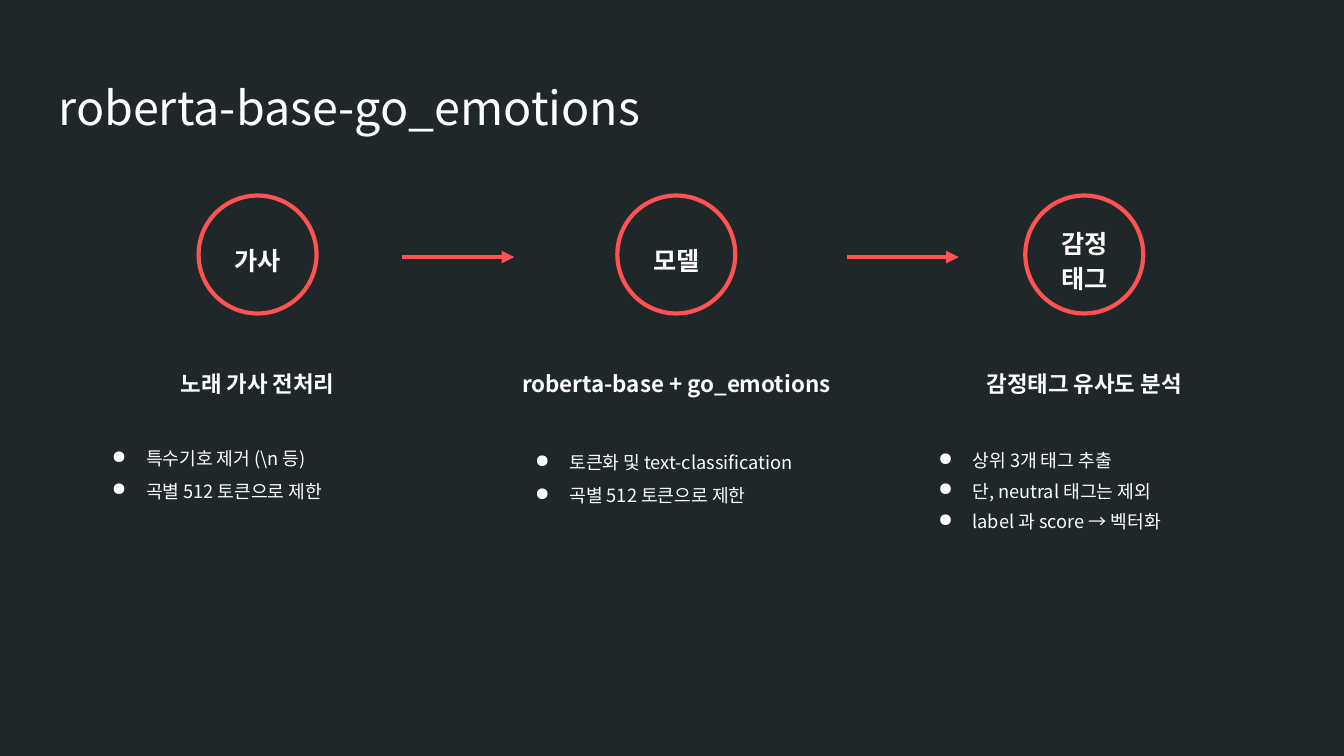
from lxml import etree
from pptx import Presentation
from pptx.dml.color import RGBColor
from pptx.enum.shapes import MSO_CONNECTOR, MSO_SHAPE
from pptx.enum.text import MSO_ANCHOR, MSO_AUTO_SIZE, PP_ALIGN
from pptx.oxml.ns import qn
from pptx.util import Pt

STRAIGHT = MSO_CONNECTOR.STRAIGHT
OVAL = MSO_SHAPE.OVAL
TOP, BOTTOM = MSO_ANCHOR.TOP, MSO_ANCHOR.BOTTOM
GROW, FIXED = MSO_AUTO_SIZE.SHAPE_TO_FIT_TEXT, MSO_AUTO_SIZE.NONE
LEFT, CENTER = PP_ALIGN.LEFT, PP_ALIGN.CENTER

FONT = "Noto Sans CJK KR"
DARK, WHITE, CORAL = "202729", "FFFFFF", "FF5252"
INSET = 9.36
CIRCLE, CIRCLE_TOP = 84.24, 139.7
COLUMN_WIDTH = 242.6
LABEL_WIDTH = 62
ARROW_Y, ARROW_LENGTH = 183.6, 80

# Each stage: circle centre, label, label top and height, heading,
# bullets' left edge, and bullets with their line spacing
STAGES = [
    (184, "가사", 162.7, 41, "노래 가사 전처리", 59,
     [("특수기호 제거 (\\n 등)", 1.3), ("곡별 512 토큰으로 제한", 1.5)]),
    (483.1, "모델", 162.7, 41, "roberta-base + go_emotions", 361.4,
     [("토큰화 및 text-classification", 1.5), ("곡별 512 토큰으로 제한", 1.5)]),
    (774.5, "감정 태그", 150.5, 66.2, "감정태그 유사도 분석", 649.4,
     [("상위 3개 태그 추출", 1.4), ("단, neutral 태그는 제외", 1.4),
      ("label 과 score → 벡터화", 1.4)]),
]
ARROW_STARTS = [287.3, 604.8]


def color(value):
    return RGBColor.from_string(value)


def add_bullet(para):
    props = para._p.get_or_add_pPr()
    props.set("marL", str(Pt(36)))
    props.set("indent", str(-Pt(24.5)))
    bullet_color = etree.SubElement(props, qn("a:buClr"))
    etree.SubElement(bullet_color, qn("a:srgbClr"), val=WHITE)
    etree.SubElement(props, qn("a:buChar"), char="●")


def add_text(page, left, top, width, height, lines, size, bold=False,
             align=LEFT, anchor=TOP, bullets=False, after=0, fit=FIXED):
    """Add a text box; lines holds (text, line spacing) pairs."""
    box = page.shapes.add_textbox(Pt(left), Pt(top), Pt(width), Pt(height))
    frame = box.text_frame
    frame.word_wrap = True
    frame.auto_size = fit
    frame.vertical_anchor = anchor
    frame.margin_left = frame.margin_right = Pt(INSET)
    frame.margin_top = frame.margin_bottom = Pt(INSET)
    frame.text = "\n".join(text for text, _ in lines)
    for para, (_, spacing) in zip(frame.paragraphs, lines):
        if bullets:
            add_bullet(para)
        para.alignment = align
        para.line_spacing = spacing
        para.space_after = Pt(after)
        for span in para.runs:
            span.font.size = Pt(size)
            span.font.bold = bold
            span.font.color.rgb = color(WHITE)
            span.font.name = FONT
            etree.SubElement(span._r.get_or_add_rPr(), qn("a:ea"), typeface=FONT)


def add_circle(page, center):
    circle = page.shapes.add_shape(OVAL, Pt(center - CIRCLE / 2), Pt(CIRCLE_TOP),
                                   Pt(CIRCLE), Pt(CIRCLE))
    circle.shadow.inherit = False
    circle.fill.background()
    circle.line.color.rgb = color(CORAL)
    circle.line.width = Pt(3)


def add_arrow(page, start):
    arrow = page.shapes.add_connector(STRAIGHT, Pt(start), Pt(ARROW_Y),
                                      Pt(start + ARROW_LENGTH), Pt(ARROW_Y))
    arrow.line.color.rgb = color(CORAL)
    arrow.line.width = Pt(3)
    etree.SubElement(arrow.line._get_or_add_ln(), qn("a:tailEnd"), type="triangle")
    etree.SubElement(arrow._element.spPr, qn("a:effectLst"))


def add_stage(page, center, label, label_top, label_height, heading,
              bullets_left, bullets):
    add_circle(page, center)
    add_text(page, center - LABEL_WIDTH / 2, label_top, LABEL_WIDTH, label_height,
             [(label, 1.15)], 18, bold=True, align=CENTER, after=21, fit=GROW)
    add_text(page, center - COLUMN_WIDTH / 2, 229.7, COLUMN_WIDTH, 63.4,
             [(heading, 1.15)], 16, bold=True, align=CENTER, anchor=BOTTOM)
    add_text(page, bullets_left, 305.3, 249.8, 105.1, bullets, 13, bullets=True)


def main():
    deck = Presentation()
    deck.slide_width, deck.slide_height = Pt(960), Pt(540)
    page = deck.slides.add_slide(deck.slide_layouts[6])
    page.background.fill.solid()
    page.background.fill.fore_color.rgb = color(DARK)

    # Title
    add_text(page, 32.4, 46.8, 894.2, 59.8, [("roberta-base-go_emotions", 1.0)], 33.3)

    # Stages and the arrows between them
    for stage in STAGES:
        add_stage(page, *stage)
    for start in ARROW_STARTS:
        add_arrow(page, start)

    deck.save("out.pptx")


if __name__ == "__main__":
    main()
